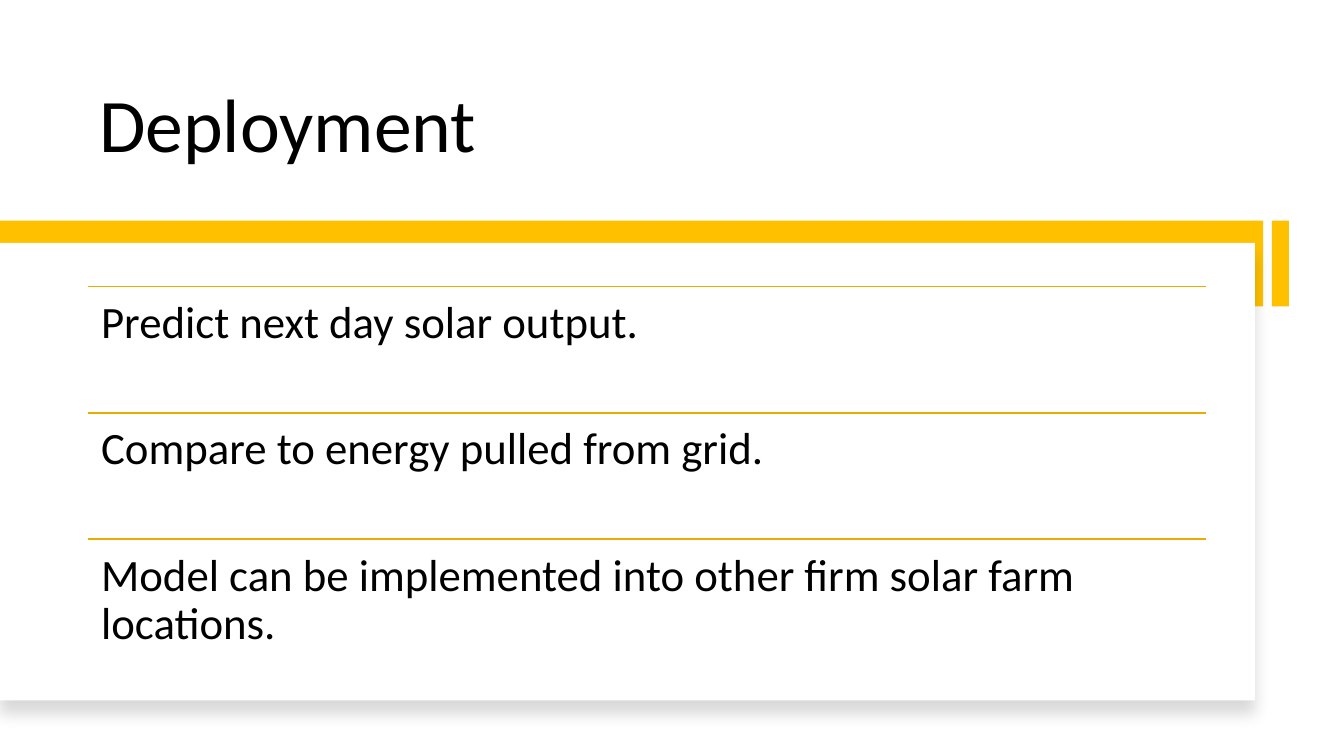
from lxml import etree
from pptx import Presentation
from pptx.dml.color import RGBColor
from pptx.enum import shapes, text
from pptx.oxml import ns
from pptx.util import Pt

COLORS = {"ink": "000000", "panel": "FFFFFF", "accent": "FFC000", "rule": "E7AE00"}
POINTS = [
    "Predict next day solar output.",
    "Compare to energy pulled from grid.",
    "Model can be implemented into other firm solar farm locations.",
]


def color(name):
    return RGBColor.from_string(COLORS[name])


def add_text(s, box, content, size, inset=(7.2, 3.6), anchor=text.MSO_ANCHOR.TOP,
             after=0):
    tf = s.shapes.add_textbox(*map(Pt, box)).text_frame
    tf.word_wrap = True
    tf.vertical_anchor = anchor
    tf.margin_left = tf.margin_right = Pt(inset[0])
    tf.margin_top = tf.margin_bottom = Pt(inset[1])
    p = tf.paragraphs[0]
    p.line_spacing = 0.9
    p.space_after = Pt(after)
    r = p.add_run()
    r.text = content
    r.font.name = "Calibri"
    r.font.size = Pt(size)
    r.font.color.rgb = color("ink")


def add_rect(s, box, fill):
    sp = s.shapes.add_shape(shapes.MSO_SHAPE.RECTANGLE, *map(Pt, box))
    sp.shadow.inherit = False
    sp.fill.solid()
    sp.fill.fore_color.rgb = color(fill)
    sp.line.fill.background()
    return sp


def add_rule(s, x, y, width):
    line = s.shapes.add_connector(shapes.MSO_CONNECTOR.STRAIGHT,
                                  Pt(x), Pt(y), Pt(x + width), Pt(y))
    line.line.color.rgb = color("rule")
    line.line.width = Pt(1)
    etree.SubElement(line._element.spPr, ns.qn("a:effectLst"))


def cast_shadow(sp, blur, dist, alpha):
    effects = sp._element.spPr.find(ns.qn("a:effectLst"))
    shadow = etree.SubElement(effects, ns.qn("a:outerShdw"), blurRad=str(Pt(blur)),
                              dist=str(Pt(dist)), dir="5400000", algn="t",
                              rotWithShape="0")
    tone = etree.SubElement(shadow, ns.qn("a:srgbClr"), val=COLORS["ink"])
    etree.SubElement(tone, ns.qn("a:alpha"), val=str(alpha * 1000))


def add_banner(s, x, y, width, height):
    """Wide accent band with a narrow tab closing its right end."""
    tab, gap = 12.2, 6.4
    add_rect(s, (x + width - tab, y, tab, height), "accent")
    add_rect(s, (x, y, width - tab - gap, height), "accent")


def add_panel(s, x, y, width, height):
    """White card that covers the lower part of the band."""
    cast_shadow(add_rect(s, (x, y, width, height), "panel"), blur=11, dist=10, alpha=15)


def add_points(s, x, y, width, height):
    """Equal rows, each with a rule above its text."""
    row = height / len(POINTS)
    for i, point in enumerate(POINTS):
        top = y + i * row
        add_rule(s, x, top, width)
        add_text(s, (x, top, width, row), point, 32, inset=(9.6, 9.6), after=11.2)


def main():
    prs = Presentation()
    prs.slide_width, prs.slide_height = Pt(960), Pt(540)
    s = prs.slides.add_slide(prs.slide_layouts[6])
    # Title
    add_text(s, (63.7, 30.6, 727.2, 93.6), "Deployment", 54,
             anchor=text.MSO_ANCHOR.BOTTOM)
    # Band and card
    add_banner(s, 0, 157.6, 920.8, 61.2)
    add_panel(s, 0, 173.5, 896.4, 326.9)
    # Deployment points
    add_points(s, 62.6, 204.7, 798.5, 270.6)
    prs.save("out.pptx")


if __name__ == "__main__":
    main()
